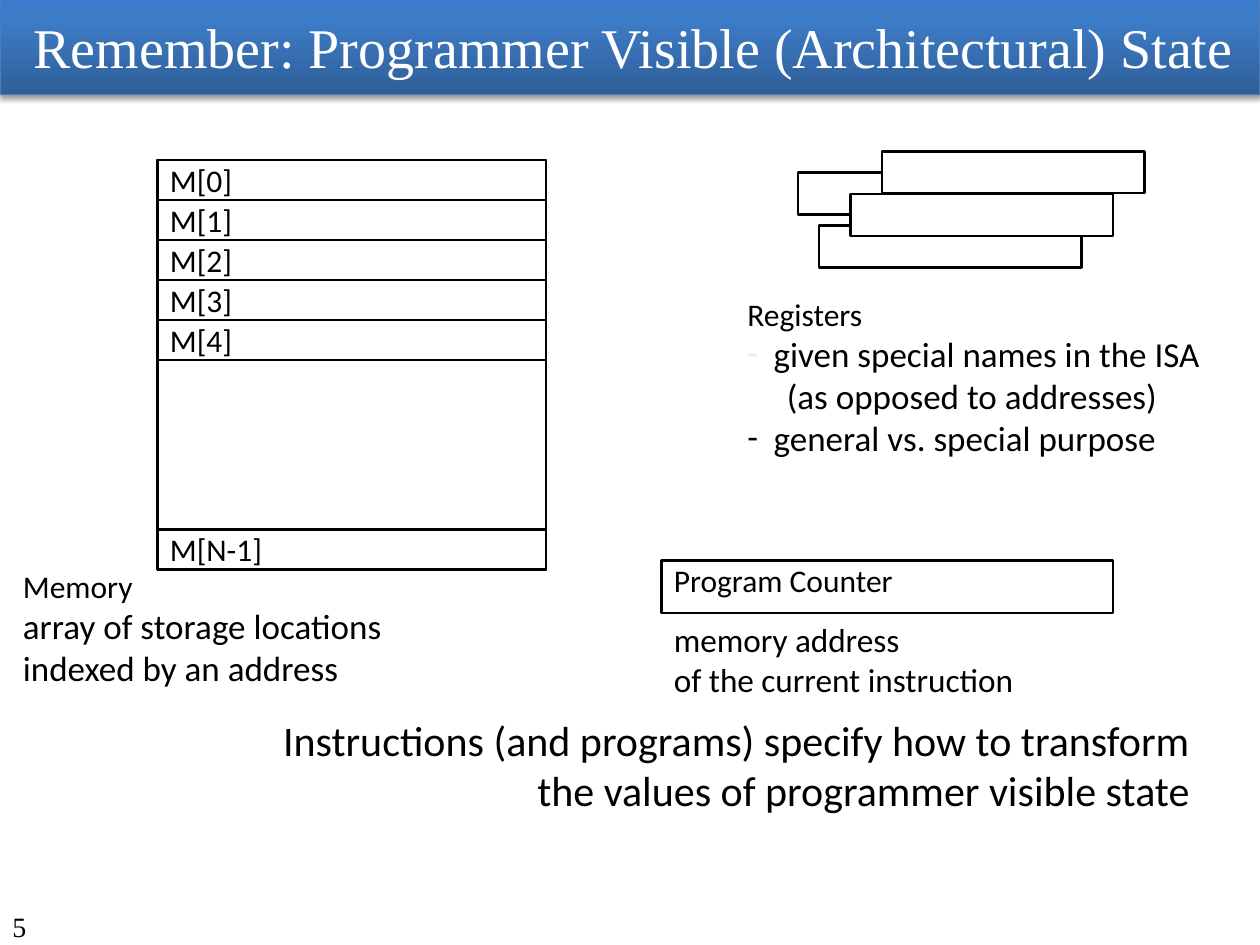
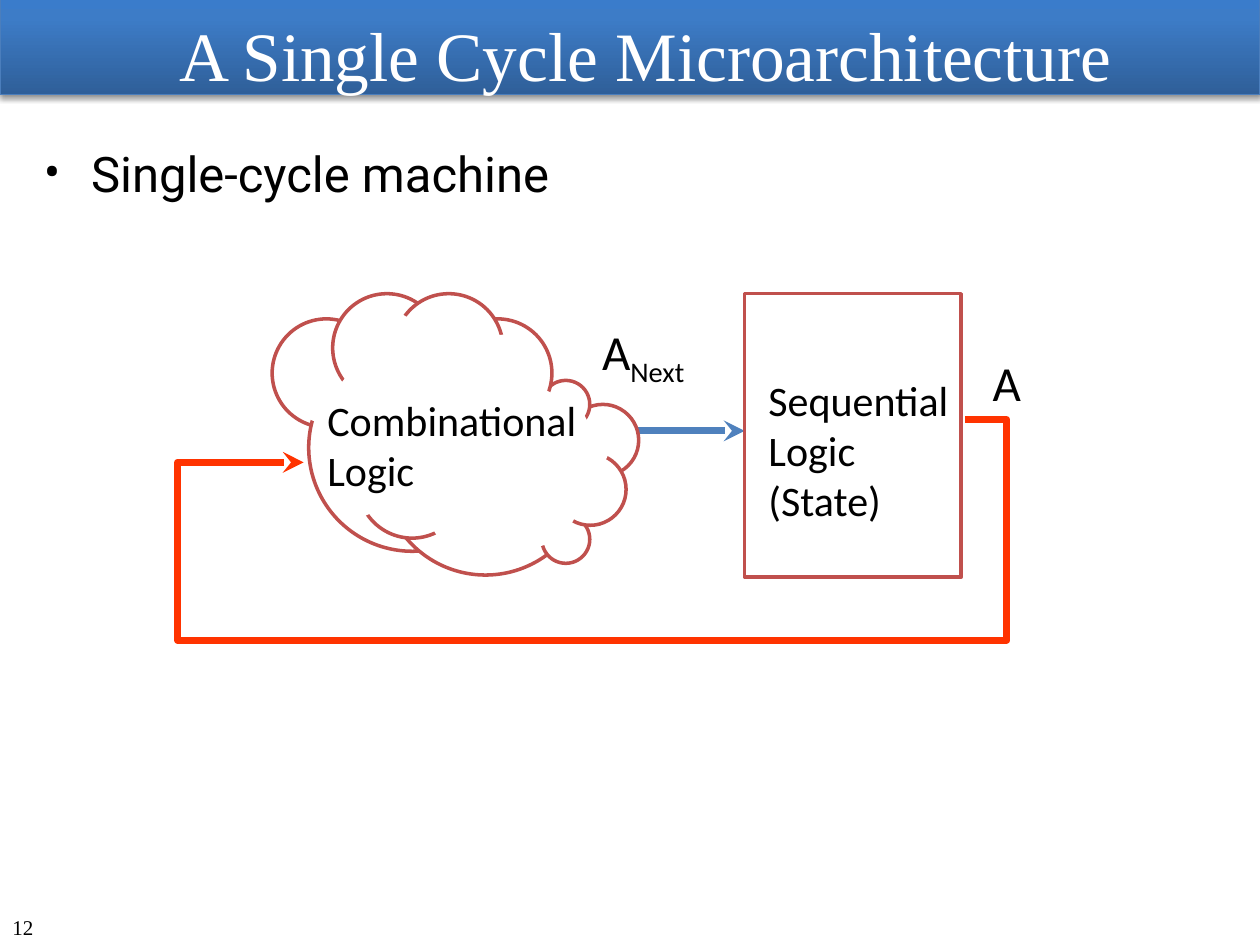
"""Build two slides on architectural state and the single-cycle machine."""
from typing import NamedTuple

from lxml.etree import SubElement
from pptx import Presentation
from pptx.dml.color import RGBColor
from pptx.enum.shapes import MSO_CONNECTOR, MSO_SHAPE
from pptx.enum.text import MSO_ANCHOR, MSO_AUTO_SIZE, PP_ALIGN
from pptx.oxml import parse_xml
from pptx.oxml.ns import nsdecls, qn
from pptx.util import Pt

COLORS = {
    "black": "000000", "white": "FFFFFF", "pale": "EEECE1",
    "blue": "4F81BD", "brick": "C0504D", "feedback": "FF3300",
    "band_line": "4B7EBC", "band_dark": "2F5F99",
    "band_mid": "3D7CC7", "band_light": "3A7CCB",
}
SERIF = "Times New Roman"
SLIDE_WIDTH, SLIDE_HEIGHT = 720, 540
BAND_STOPS = ((0, "band_dark"), (80, "band_mid"), (100, "band_light"))

MEMORY_LEFT, MEMORY_TOP, MEMORY_WIDTH, MEMORY_HEIGHT = 90, 91.4, 222, 234
CELL_HEIGHT = 22.86
REGISTER_CORNERS = ((456, 98.6), (468, 128.9), (486, 110.9), (504, 86.4))

CLOUD_BACK = ((155.5, 182.2, 62), (176.4, 196.6, 118.4))
CLOUD_FRONT = (
    (218.2, 210.2, 118.4), (324, 231.1, 41), (309.6, 294.5, 27.4),
    (309.6, 217.4, 27.4), (316.8, 259.2, 41), (190.1, 167.8, 62),
    (253.4, 182.2, 62), (225.4, 167.8, 62), (204.5, 245.5, 62),
)
CLOUD_WEDGE = ((193, 210.2), (172.1, 237.6), (182.2, 241.9), (196.6, 212.4))
CLOUD_CORE = (
    (228.2, 178.6), (256.3, 195.1), (290.9, 190.8), (312.5, 223.2),
    (318.2, 226.1), (333.4, 236.2), (337.7, 244.8), (347.8, 259.2),
    (345.6, 264.2), (321.8, 308.2), (305.3, 313.2), (251.3, 308.9),
    (247, 301.7), (211, 293.8), (204.5, 296.6), (190.8, 223.9),
)
FEEDBACK_ROUTE = (
    (551.5, 239.8), (575.3, 239.8), (575.3, 365.8),
    (101.5, 365.8), (101.5, 264.2), (173.5, 264.2),
)


class Line(NamedTuple):
    """One paragraph of text with its format."""
    text: str
    size: float
    font: str = "Calibri"
    color: str = "black"
    align: PP_ALIGN = PP_ALIGN.LEFT
    subscript: str = ""
    bullet: str = ""
    bullet_color: str = "black"
    margin: float = 0
    before: float = 0


def rgb(name):
    """Return the named colour."""
    return RGBColor.from_string(COLORS[name])


def add_run(paragraph, text, line):
    """Add one run in the format of its line."""
    run = paragraph.add_run()
    run.text = text
    run.font.size = Pt(line.size)
    run.font.name = line.font
    run.font.color.rgb = rgb(line.color)
    return run


def set_indent(paragraph, line):
    """Set the left margin and, if there is one, the hanging bullet."""
    properties = paragraph._p.get_or_add_pPr()
    properties.set("marL", str(Pt(line.margin)))
    if line.bullet:
        properties.set("indent", str(-Pt(line.margin)))
        color = SubElement(properties, qn("a:buClr"))
        SubElement(color, qn("a:srgbClr"), val=COLORS[line.bullet_color])
        SubElement(properties, qn("a:buFont"), typeface=line.font)
        SubElement(properties, qn("a:buChar"), char=line.bullet)


def write(shape, lines, anchor=MSO_ANCHOR.TOP, wrap=True, grow=False):
    """Fill a shape with lines of text."""
    frame = shape.text_frame
    frame.word_wrap = wrap
    frame.vertical_anchor = anchor
    frame.auto_size = MSO_AUTO_SIZE.SHAPE_TO_FIT_TEXT if grow else MSO_AUTO_SIZE.NONE
    for index, line in enumerate(lines):
        paragraph = frame.add_paragraph() if index else frame.paragraphs[0]
        if line.margin:
            set_indent(paragraph, line)
        paragraph.alignment = line.align
        paragraph.space_before = Pt(line.before)
        add_run(paragraph, line.text, line)
        if line.subscript:
            run = add_run(paragraph, line.subscript, line)
            run._r.get_or_add_rPr().set("baseline", "-25000")


def add_text(slide, left, top, width, height, lines, **options):
    """Add a text box."""
    box = slide.shapes.add_textbox(Pt(left), Pt(top), Pt(width), Pt(height))
    write(box, lines, **options)


def add_label(slide, left, top, width, height, lines):
    """Add a text box that does not wrap and fits its text."""
    add_text(slide, left, top, width, height, lines, wrap=False, grow=True)


def paint(shape, fill="white", line=None, weight=1.5):
    """Set fill and outline, and remove the shadow."""
    shape.shadow.inherit = False
    if fill:
        shape.fill.solid()
        shape.fill.fore_color.rgb = rgb(fill)
    else:
        shape.fill.background()
    if line:
        shape.line.color.rgb = rgb(line)
        shape.line.width = Pt(weight)
    else:
        shape.line.fill.background()


def add_preset(shapes, kind, left, top, width, height, **style):
    """Add a painted preset shape."""
    shape = shapes.add_shape(kind, Pt(left), Pt(top), Pt(width), Pt(height))
    paint(shape, **style)
    return shape


def add_box(shapes, left, top, width, height):
    """Add a white rectangle with a black outline."""
    return add_preset(shapes, MSO_SHAPE.RECTANGLE, left, top, width, height, line="black")


def add_outline(shapes, points, close=True, **style):
    """Add a painted outline through the points."""
    start, *others = [(Pt(x), Pt(y)) for x, y in points]
    builder = shapes.build_freeform(*start, scale=1.0)
    builder.add_line_segments(others, close=close)
    shape = builder.convert_to_shape()
    paint(shape, **style)
    return shape


def add_line(slide, start, end, color, weight):
    """Add a straight line without a shadow."""
    line = slide.shapes.add_connector(
        MSO_CONNECTOR.STRAIGHT, *(Pt(value) for value in (*start, *end)))
    line.line.color.rgb = rgb(color)
    line.line.width = Pt(weight)
    SubElement(line._element.spPr, qn("a:effectLst"))
    return line


def add_arrowhead(shape):
    """Put a stealth arrowhead at the end of a line."""
    SubElement(shape.line._get_or_add_ln(), qn("a:tailEnd"), type="stealth")


def add_soft_shadow(shape):
    """Put a soft shadow below a shape."""
    effects = shape._element.spPr.find(qn("a:effectLst"))
    shadow = SubElement(effects, qn("a:outerShdw"), blurRad=str(Pt(3.1)),
                        dist=str(Pt(1.8)), dir="5400000", rotWithShape="0")
    color = SubElement(shadow, qn("a:srgbClr"), val=COLORS["black"])
    SubElement(color, qn("a:alpha"), val="35000")


def add_band(slide):
    """Add the gradient title band with its rule."""
    rule = add_line(slide, (0, 49), (SLIDE_WIDTH, 49), "blue", 3)
    band = add_preset(slide.shapes, MSO_SHAPE.RECTANGLE, 0, -0.5, SLIDE_WIDTH, 54.5,
                      line="band_line", weight=0.75)
    stops = "".join(
        f'<a:gs pos="{position * 1000}"><a:srgbClr val="{COLORS[name]}"/></a:gs>'
        for position, name in BAND_STOPS)
    gradient = parse_xml(
        f'<a:gradFill {nsdecls("a")} rotWithShape="1"><a:gsLst>{stops}</a:gsLst>'
        '<a:lin ang="16200000" scaled="0"/></a:gradFill>')
    properties = band._element.spPr
    properties.replace(properties.find(qn("a:solidFill")), gradient)
    for shape in (rule, band):
        add_soft_shadow(shape)


def start_slide(presentation, title, title_size, title_place, number, number_size):
    """Add a blank slide with band, title and slide number."""
    slide = presentation.slides.add_slide(presentation.slide_layouts[6])
    add_band(slide)
    add_text(slide, *title_place,
             [Line(title, title_size, SERIF, "white", PP_ALIGN.CENTER)],
             anchor=MSO_ANCHOR.MIDDLE)
    add_text(slide, 0, 519, 228, 21, [Line(number, number_size, SERIF)],
             anchor=MSO_ANCHOR.MIDDLE)
    return slide


def add_memory(slide):
    """Draw the memory array and its caption."""
    add_box(slide.shapes, MEMORY_LEFT, MEMORY_TOP, MEMORY_WIDTH, MEMORY_HEIGHT)
    cells = [(f"M[{row}]", MEMORY_TOP + row * CELL_HEIGHT) for row in range(5)]
    cells.append(("M[N-1]", MEMORY_TOP + MEMORY_HEIGHT - CELL_HEIGHT))
    for name, top in cells:
        cell = add_box(slide.shapes, MEMORY_LEFT, top, MEMORY_WIDTH, CELL_HEIGHT)
        write(cell, [Line(name, 18)], anchor=MSO_ANCHOR.MIDDLE, wrap=False)
    add_text(slide, 6, 320.4, 384, 78, [
        Line("Memory", 18),
        Line("array of storage locations", 20),
        Line("indexed by an address", 20),
    ], grow=True)


def add_registers(slide):
    """Draw the stack of registers and its notes."""
    registers = slide.shapes.add_group_shape().shapes
    for left, top in REGISTER_CORNERS:
        add_box(registers, left, top, 150, 24)
    add_text(slide, 420, 165, 300, 126, [
        Line("Registers", 18),
        Line("given special names in the ISA", 20, bullet="-",
             bullet_color="pale", margin=15),
        Line("(as opposed to addresses)", 20, margin=22.5),
        Line("general vs. special purpose", 20, bullet="-", margin=15),
    ], grow=True)


def add_program_counter(slide):
    """Draw the program counter with the note that hangs below it."""
    counter = add_box(slide.shapes, 378, 320.4, 258, 30)
    counter.text_frame.margin_top = 0
    write(counter, [
        Line("Program Counter", 18),
        Line("memory address", 19, before=12),
        Line("of the current instruction", 19),
    ], wrap=False)


def add_cloud(slide):
    """Draw the cloud of combinational logic."""
    cloud = slide.shapes.add_group_shape().shapes
    for circles, cover in ((CLOUD_BACK, CLOUD_WEDGE), (CLOUD_FRONT, CLOUD_CORE)):
        for left, top, diameter in circles:
            add_preset(cloud, MSO_SHAPE.OVAL, left, top, diameter, diameter,
                       line="brick", weight=2)
        add_outline(cloud, cover)


def build_state_slide(presentation):
    """Build the slide on programmer visible state."""
    slide = start_slide(presentation, "Remember: Programmer Visible (Architectural) State",
                        32, (4.5, 3.6, 715.5, 45.4), "5", 16)
    add_memory(slide)
    add_program_counter(slide)
    add_registers(slide)
    add_label(slide, 150, 404.6, 537, 65.5, [
        Line(text, 24, align=PP_ALIGN.RIGHT) for text in (
            "Instructions (and programs) specify how to transform",
            "the values of programmer visible state")])


def build_cycle_slide(presentation):
    """Build the slide on the single-cycle machine."""
    slide = start_slide(presentation, "A Single Cycle Microarchitecture",
                        39.6, (18, 12.2, 702, 36.7), "12", 12)
    add_text(slide, 18, 78.5, 678, 409, [
        Line("Single-cycle machine", 28, "Roboto", bullet="•", margin=27, before=5.6)])
    add_arrowhead(add_line(slide, (359.3, 246.2), (425.5, 246.2), "blue", 4))
    add_cloud(slide)
    add_label(slide, 337, 180, 67, 41, [Line("A", 28, subscript="Next")])
    add_label(slide, 560.2, 198, 31, 41, [Line("A", 28)])
    add_arrowhead(add_outline(slide.shapes, FEEDBACK_ROUTE, close=False, fill=None,
                              line="feedback", weight=4))
    add_preset(slide.shapes, MSO_SHAPE.RECTANGLE, 425.5, 167.8, 123.8, 162,
               fill=None, line="brick", weight=2)
    add_label(slide, 432, 210.2, 118.8, 94.3,
              [Line(text, 24) for text in ("Sequential", "Logic", "(State)")])
    add_label(slide, 180, 221.8, 158.4, 65.5,
              [Line(text, 24) for text in ("Combinational", "Logic")])


def main():
    """Build and save the presentation."""
    presentation = Presentation()
    presentation.slide_width = Pt(SLIDE_WIDTH)
    presentation.slide_height = Pt(SLIDE_HEIGHT)
    build_state_slide(presentation)
    build_cycle_slide(presentation)
    presentation.save("out.pptx")


if __name__ == "__main__":
    main()
